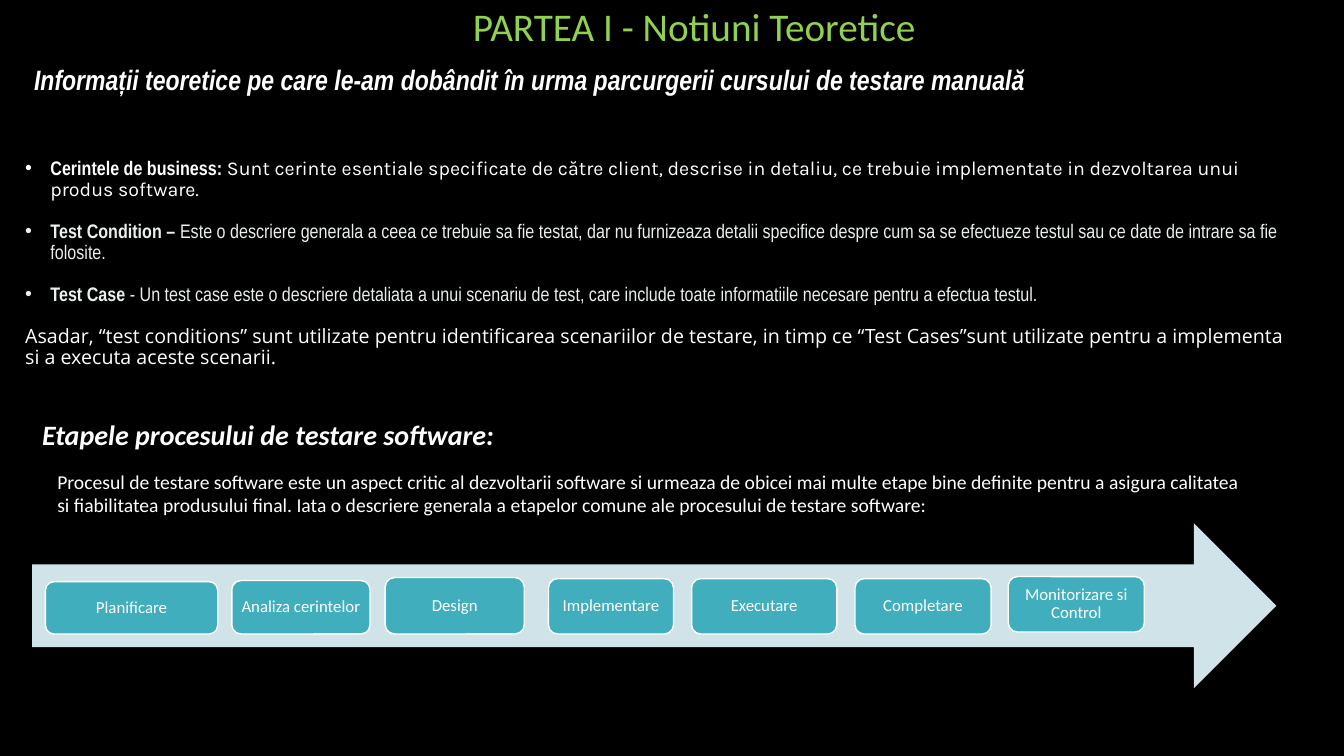
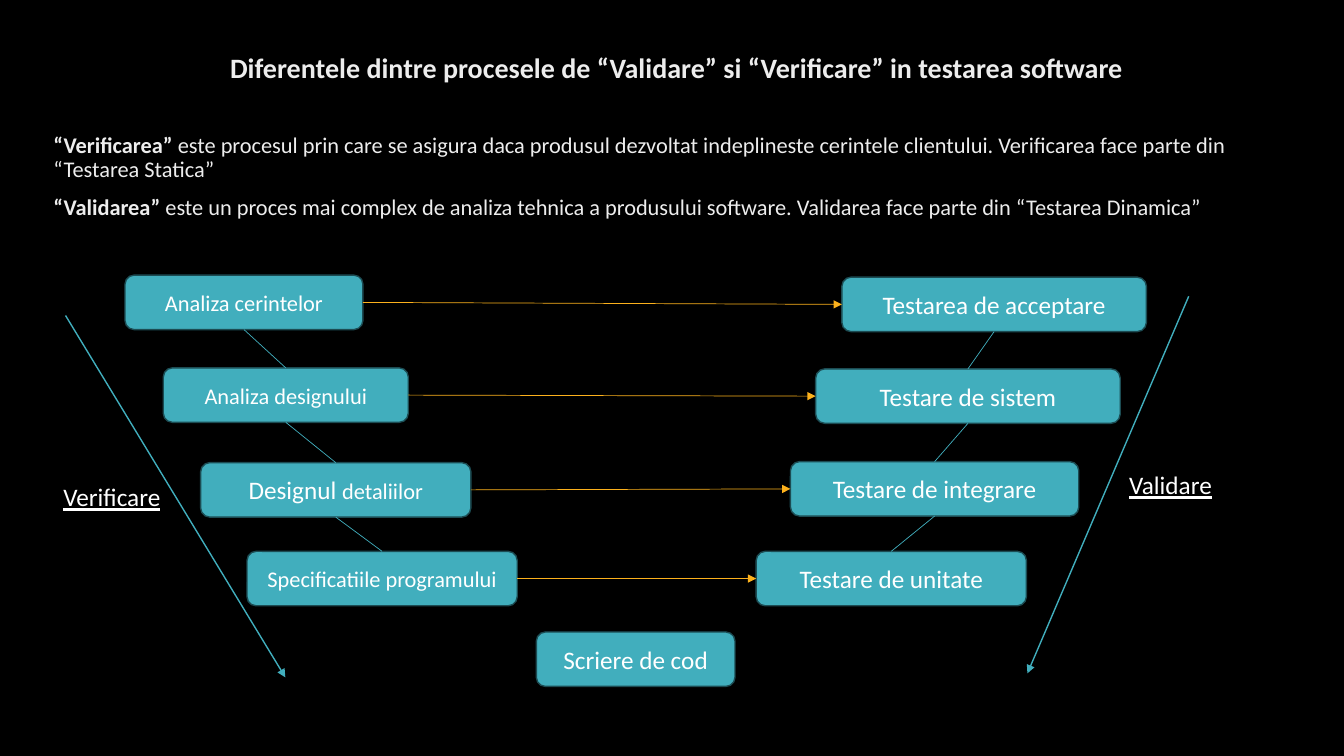
from lxml.etree import SubElement
from pptx import Presentation
from pptx.dml.color import RGBColor
from pptx.enum.shapes import MSO_CONNECTOR, MSO_SHAPE
from pptx.enum.text import MSO_ANCHOR, MSO_AUTO_SIZE, PP_ALIGN
from pptx.oxml.ns import qn
from pptx.util import Pt

PX = 9144
BLACK = RGBColor(0, 0, 0)
WHITE = RGBColor(255, 255, 255)
PALE = RGBColor(0xED, 0xED, 0xED)
MINT = RGBColor(0xEB, 0xF0, 0xED)
GREEN = RGBColor(0x92, 0xD0, 0x50)
TEAL = RGBColor(0x41, 0xAE, 0xBD)
DARK = RGBColor(0x1C, 0x4C, 0x53)
ICE = RGBColor(0xCF, 0xE3, 0xE8)
AMBER = RGBColor(0xFC, 0xB1, 0x1C)

LEFT, MID = PP_ALIGN.LEFT, PP_ALIGN.CENTER
TOP, WEST, BOTTOM, EAST = range(4)
BOLD = {"bold": True}
HEAD = {"size": 20, "bold": True, "italic": True}


class Deck:
    base = {"name": "Calibri", "size": 14, "bold": False, "ink": WHITE}

    def __init__(self, wide, high):
        self.prs = Presentation()
        self.prs.slide_width, self.prs.slide_height = wide * PX, high * PX
        fill = self.prs.slide_master.background.fill
        fill.solid()
        fill.fore_color.rgb = BLACK

    def page(self):
        self.slide = self.prs.slides.add_slide(self.prs.slide_layouts[1])

    def style(self, font, form):
        form = {**self.base, **form}
        font.color.rgb = form.pop("ink")
        form["size"] = Pt(form["size"])
        for key, value in form.items():
            setattr(font, key, value)

    def mark(self, para, dot):
        props = para._p.get_or_add_pPr()
        props.set("marL", str(25 * PX if dot else 0))
        props.set("indent", str(-25 * PX if dot else 0))
        if dot:
            SubElement(props, qn("a:buFont")).set("typeface", "Arial")
            SubElement(props, qn("a:buChar")).set("char", "•")
        else:
            SubElement(props, qn("a:buNone"))

    def text(self, shape, paras, form=None, align=LEFT, line=1.0, gap=0,
             dots=0, anchor=MSO_ANCHOR.TOP, pad=(10, 5)):
        frame = shape.text_frame
        side, edge = pad[0] * PX, pad[1] * PX
        look = {"word_wrap": True, "auto_size": MSO_AUTO_SIZE.NONE,
                "vertical_anchor": anchor, "margin_left": side,
                "margin_right": side, "margin_top": edge,
                "margin_bottom": edge}
        for key, value in look.items():
            setattr(frame, key, value)
        for n, runs in enumerate(paras):
            para = frame.add_paragraph() if n else frame.paragraphs[0]
            self.mark(para, n < dots)
            para.alignment, para.line_spacing = align, line
            para.space_before = Pt(gap if n else 0)
            for words, own in runs:
                run = para.add_run()
                run.text = words
                self.style(run.font, {**(form or {}), **own})

    def holder(self, index, box, paras, **opts):
        shape = self.slide.placeholders[index]
        names = ("left", "top", "width", "height")
        for name, value in zip(names, box):
            setattr(shape, name, value * PX)
        self.text(shape, paras, **opts)

    def title(self, box, words, **opts):
        self.holder(0, box, [[(words, {})]], align=MID, line=0.9, **opts)

    def body(self, box, paras, **opts):
        self.holder(1, box, paras, **opts)

    def note(self, box, words, form=None):
        shape = self.slide.shapes.add_textbox(*(v * PX for v in box))
        self.text(shape, [[(words, {})]], form)

    def block(self, kind, box, fill, edge=None):
        shape = self.slide.shapes.add_shape(kind, *(v * PX for v in box))
        shape.shadow.inherit = False
        shape.fill.solid()
        shape.fill.fore_color.rgb = fill
        if edge is None:
            shape.line.fill.background()
        else:
            shape.line.color.rgb = edge
            shape.line.width = Pt(1)
        return shape

    def card(self, box, runs, edge, **opts):
        shape = self.block(MSO_SHAPE.ROUNDED_RECTANGLE, box, TEAL, edge)
        self.text(shape, [runs], align=MID, anchor=MSO_ANCHOR.MIDDLE, **opts)
        return shape

    def line(self, ends, ink, width, tip=False):
        link = self.slide.shapes.add_connector(
            MSO_CONNECTOR.STRAIGHT, *(v * PX for v in ends))
        link.line.color.rgb = ink
        link.line.width = Pt(width)
        props = link.element.spPr
        if tip:
            SubElement(props.find(qn("a:ln")), qn("a:tailEnd")).set(
                "type", "triangle")
        SubElement(props, qn("a:effectLst"))
        return link

    def join(self, first, start, last, end, ink, tip=False):
        link = self.line((0, 0, 0, 0), ink, 0.5, tip)
        link.begin_connect(first, start)
        link.end_connect(last, end)


def theory(deck):
    deck.page()
    deck.title((125, 0, 1127, 57), "PARTEA I - Notiuni Teoretice",
               form={"size": 28, "ink": GREEN}, anchor=MSO_ANCHOR.MIDDLE)
    thin = {"name": "Arial Narrow", "ink": MINT}
    deck.body((15, 152, 1273, 257), [
        [("Cerintele de business: ", {**BOLD, "ink": WHITE}),
         ("Sunt cerinte esentiale specificate de către client, descrise in "
          "detaliu, ce trebuie implementate in dezvoltarea unui produs "
          "software.", {"name": "Karla", "ink": WHITE})],
        [("Test Condition – ", BOLD),
         ("Este o descriere generala a ceea ce trebuie sa fie testat, dar nu "
          "furnizeaza detalii specifice despre cum sa se efectueze testul "
          "sau ce date de intrare sa fie folosite.", {})],
        [("Test Case ", BOLD),
         ("- Un test case este o descriere detaliata a unui scenariu de "
          "test, care include toate informatiile necesare pentru a efectua "
          "testul.", {})],
        [("Asadar, “test conditions” sunt utilizate pentru identificarea "
          "scenariilor de testare, in timp ce “Test Cases”sunt utilizate "
          "pentru a implementa si a executa aceste scenarii.",
          {"name": "Open Sans", "ink": WHITE})],
    ], form=thin, line=Pt(15), gap=15, dots=3)
    deck.note((24, 57, 1154, 44),
              "Informații teoretice pe care le-am dobândit în urma "
              "parcurgerii cursului de testare manuală",
              {**HEAD, "name": "Arial Narrow"})
    deck.note((32, 409, 520, 44),
              "Etapele procesului de testare software:", HEAD)
    deck.note((47, 461, 1205, 81),
              "Procesul de testare software este un aspect critic al "
              "dezvoltarii software si urmeaza de obicei mai multe etape "
              "bine definite pentru a asigura calitatea si fiabilitatea "
              "produsului final. Iata o descriere generala a etapelor comune "
              "ale procesului de testare software:")
    deck.block(MSO_SHAPE.RIGHT_ARROW, (32, 519, 1234, 164), ICE)
    steps = [
        ("Planificare", 45, 577, 171, 52),
        ("Analiza cerintelor", 230, 576, 137, 53),
        ("Design", 382, 573, 138, 56),
        ("Implementare", 544, 574, 124, 55),
        ("Executare", 686, 574, 144, 55),
        ("Completare", 848, 574, 135, 55),
        ("Monitorizare si Control", 1000, 572, 135, 55),
    ]
    for name, *box in steps:
        deck.card(box, [(name, {"size": 12})], WHITE, line=0.9, pad=(5, 5))


def model(deck):
    deck.page()
    deck.title((43, 49, 1256, 44),
               "Diferentele dintre procesele de “Validare” si “Verificare” "
               "in testarea software",
               form={"size": 20, "bold": True, "ink": PALE},
               anchor=MSO_ANCHOR.TOP)
    deck.body((43, 128, 1256, 110), [
        [("“Verificarea” ", BOLD),
         ("este procesul prin care se asigura daca produsul dezvoltat "
          "indeplineste cerintele clientului. Verificarea face parte din "
          "“Testarea Statica”", {})],
        [("“Validarea” ", BOLD),
         ("este un proces mai complex de analiza tehnica a produsului "
          "software. Validarea face parte din “Testarea Dinamica”", {})],
    ], form={"size": 16, "ink": PALE}, line=0.9, gap=10)

    big, small = {"size": 18}, {"size": 16}
    plan = [
        (124, 273, 236, [("Analiza cerintelor", small)]),
        (162, 365, 243, [("Analiza designului", small)]),
        (199, 459, 268, [("Designul ", big), ("detaliilor", small)]),
        (245, 547, 268, [("Specificatiile programului", small)]),
    ]
    code = [(532, 627, 197, [("Scriere de cod", big)])]
    test = [
        (835, 275, 302, [("Testarea de acceptare", big)]),
        (809, 366, 302, [("Testare de sistem", big)]),
        (784, 458, 286, [("Testare de integrare", big)]),
        (750, 547, 268, [("Testare de unitate", big)]),
    ]
    down, base, up = [
        [deck.card((x, y, w, 54), runs, DARK) for x, y, w, runs in side]
        for side in (plan, code, test)]
    for first, last in zip(down, up):
        deck.join(first, EAST, last, WEST, AMBER, True)
    for side in (down, up):
        for first, last in zip(side, side[1:]):
            deck.join(first, BOTTOM, last, TOP, TEAL)

    for ends in ((65, 313, 283, 672), (1179, 294, 1019, 668)):
        deck.line(ends, TEAL, 1, True)
    for x, y, w, name in ((53, 473, 130, "Verificare"),
                          (1110, 461, 156, "Validare")):
        deck.note((x, y, w, 40), name, {**big, "underline": True})


def main():
    deck = Deck(1333, 750)
    theory(deck)
    model(deck)
    deck.prs.save("out.pptx")


if __name__ == "__main__":
    main()
